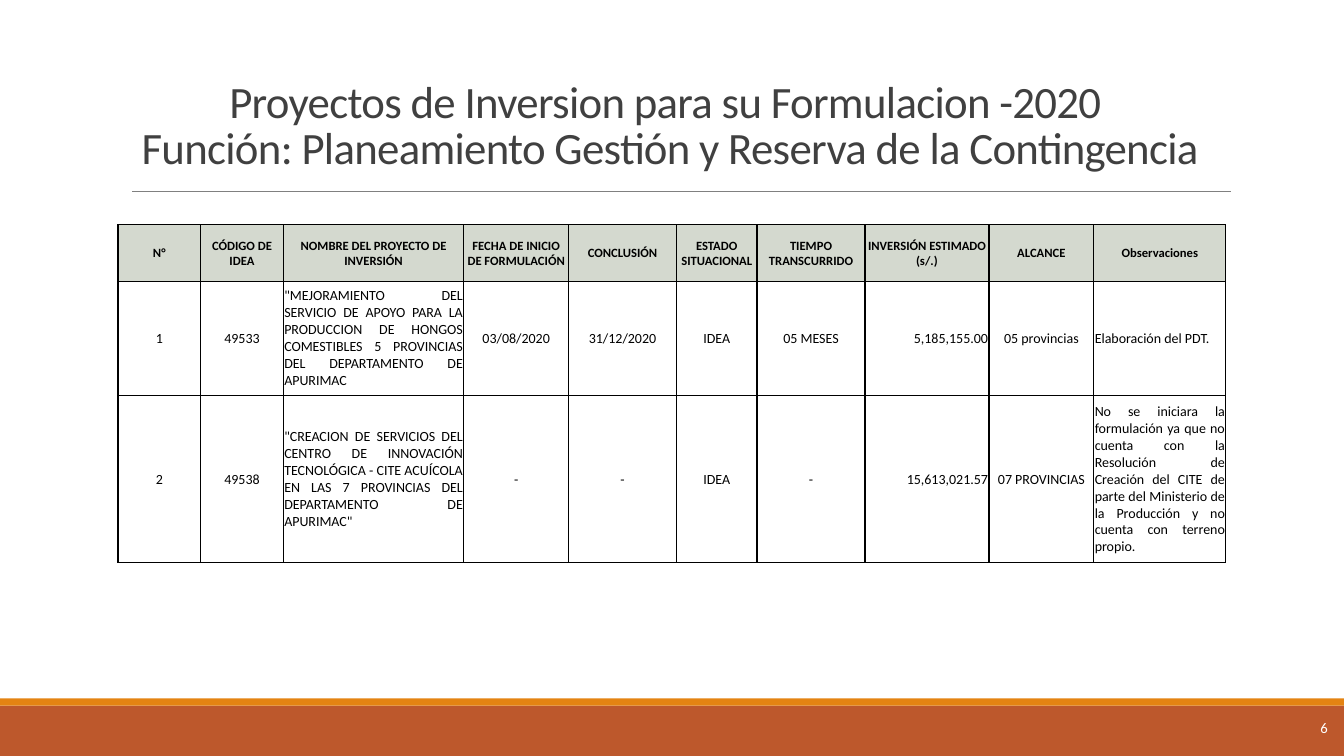
from lxml.etree import SubElement
from pptx import Presentation
from pptx.dml.color import RGBColor
from pptx.enum.shapes import MSO_CONNECTOR as Connector, MSO_SHAPE as Shape
from pptx.enum.text import MSO_ANCHOR as Anchor, MSO_AUTO_SIZE as AutoSize, PP_ALIGN as Align
from pptx.oxml.ns import qn
from pptx.util import Inches, Pt


def rgb(value):
    return RGBColor.from_string(value)


class SlideBuilder:
    """Hold the shared style and the slide, and add each kind of element."""

    font = "Calibri"
    black, white, gray = "000000", "FFFFFF", "404040"
    rust, orange, rule_gray, header_green = "BD582C", "E48312", "808080", "D4D9CF"

    def __init__(self, deck):
        self.slide = deck.slides.add_slide(deck.slide_layouts[5])

    def set_text(self, frame, text, size, color, align, bold=False, spacing=None):
        frame.text = text
        paragraph = frame.paragraphs[0]
        paragraph.alignment = align
        paragraph.line_spacing = spacing
        for run in paragraph.runs:
            run.font.name = self.font
            run.font.size = Pt(size)
            run.font.bold = bold
            run.font.color.rgb = rgb(color)
        return paragraph.runs

    def fit(self, frame, anchor):
        frame.word_wrap = True
        frame.auto_size = AutoSize.NONE
        frame.vertical_anchor = anchor
        frame.margin_left = frame.margin_right = 0
        frame.margin_top = frame.margin_bottom = 0

    def band(self, top, height, color):
        band = self.slide.shapes.add_shape(
            Shape.RECTANGLE, 0, Inches(top), Inches(13.33), Inches(height))
        band.shadow.inherit = False
        band.fill.solid()
        band.fill.fore_color.rgb = rgb(color)
        band.line.fill.background()

    def rule(self, left, right, top):
        rule = self.slide.shapes.add_connector(
            Connector.STRAIGHT, Inches(left), Inches(top), Inches(right), Inches(top))
        rule.line.color.rgb = rgb(self.rule_gray)
        rule.line.width = Pt(0.5)
        SubElement(rule._element.spPr, qn("a:effectLst"))

    def title(self, text, left, top, width, height):
        title = self.slide.shapes.title
        title.left, title.top = Inches(left), Inches(top)
        title.width, title.height = Inches(width), Inches(height)
        self.fit(title.text_frame, Anchor.BOTTOM)
        for run in self.set_text(title.text_frame, text, 32, self.gray, Align.CENTER,
                                 spacing=0.85):
            run._r.get_or_add_rPr().set("spc", "-50")

    def page_number(self, text, left, top, width, height):
        number = self.slide.shapes.add_textbox(
            Inches(left), Inches(top), Inches(width), Inches(height))
        self.fit(number.text_frame, Anchor.MIDDLE)
        self.set_text(number.text_frame, text, 10.5, self.white, Align.RIGHT)

    def border(self, cell):
        properties = cell._tc.get_or_add_tcPr()
        for side in ("lnL", "lnR", "lnT", "lnB"):
            line = SubElement(properties, qn(f"a:{side}"), w=str(Pt(1)))
            fill = SubElement(line, qn("a:solidFill"))
            SubElement(fill, qn("a:srgbClr"), val=self.black)

    def cell(self, cell, text, align, is_header):
        cell.vertical_anchor = Anchor.MIDDLE
        cell.margin_left = cell.margin_right = cell.margin_top = Inches(0.01)
        cell.margin_bottom = 0
        self.border(cell)
        cell.fill.solid()
        cell.fill.fore_color.rgb = rgb(self.header_green if is_header else self.white)
        self.set_text(cell.text_frame, text, 9 if is_header else 10, self.black,
                      Align.CENTER if is_header else align, bold=is_header)

    def table(self, rows, left, top, widths, heights, aligns):
        table = self.slide.shapes.add_table(
            len(rows), len(widths), Inches(left), Inches(top),
            Inches(sum(widths)), Inches(sum(heights))).table
        table.first_row = table.horz_banding = False
        for column, width in zip(table.columns, widths):
            column.width = Inches(width)
        for index, (row, height) in enumerate(zip(table.rows, heights)):
            row.height = Inches(height)
            for cell, text, align in zip(row.cells, rows[index], aligns):
                self.cell(cell, text, align, is_header=index == 0)


HEADERS = ["N°", "CÓDIGO DE IDEA", "NOMBRE DEL PROYECTO DE INVERSIÓN",
           "FECHA DE INICIO DE FORMULACIÓN", "CONCLUSIÓN", "ESTADO SITUACIONAL",
           "TIEMPO TRANSCURRIDO", "INVERSIÓN ESTIMADO (s/.)", "ALCANCE", "Observaciones"]
PROJECTS = [
    ["1", "49533",
     '"MEJORAMIENTO DEL SERVICIO DE APOYO PARA LA PRODUCCION DE HONGOS COMESTIBLES '
     "5 PROVINCIAS DEL DEPARTAMENTO DE APURIMAC",
     "03/08/2020", "31/12/2020", "IDEA", "05 MESES", "5,185,155.00", "05 provincias",
     "Elaboración del PDT."],
    ["2", "49538",
     '"CREACION DE SERVICIOS DEL CENTRO DE INNOVACIÓN TECNOLÓGICA - CITE ACUÍCOLA '
     'EN LAS 7 PROVINCIAS DEL DEPARTAMENTO DE APURIMAC"',
     "-", "-", "IDEA", "-", "15,613,021.57", "07 PROVINCIAS",
     "No se iniciara la formulación ya que no cuenta con la Resolución de Creación del CITE "
     "de parte del Ministerio de la Producción y no cuenta con terreno propio."],
]
WIDTHS = [0.82, 0.82, 1.79, 1.04, 1.07, 0.8, 1.07, 1.23, 1.04, 1.31]
HEIGHTS = [0.56, 1.13, 1.66]
ALIGNS = ([Align.CENTER] * 2 + [Align.JUSTIFY] + [Align.CENTER] * 4
          + [Align.RIGHT, Align.CENTER, Align.JUSTIFY])

deck = Presentation()
deck.slide_width, deck.slide_height = Inches(13.33), Inches(7.5)
builder = SlideBuilder(deck)
builder.band(7, 0.5, builder.rust)
builder.band(6.93, 0.07, builder.orange)
builder.rule(1.31, 12.21, 1.9)
builder.title("Proyectos de Inversion para su Formulacion -2020 \v"
              "Función: Planeamiento Gestión y Reserva de la Contingencia",
              0.87, 0.22, 11.55, 1.5)
builder.page_number("6", 12.37, 6.93, 0.8, 0.57)
builder.table([HEADERS, *PROJECTS], 1.17, 2.23, WIDTHS, HEIGHTS, ALIGNS)
deck.save("out.pptx")
